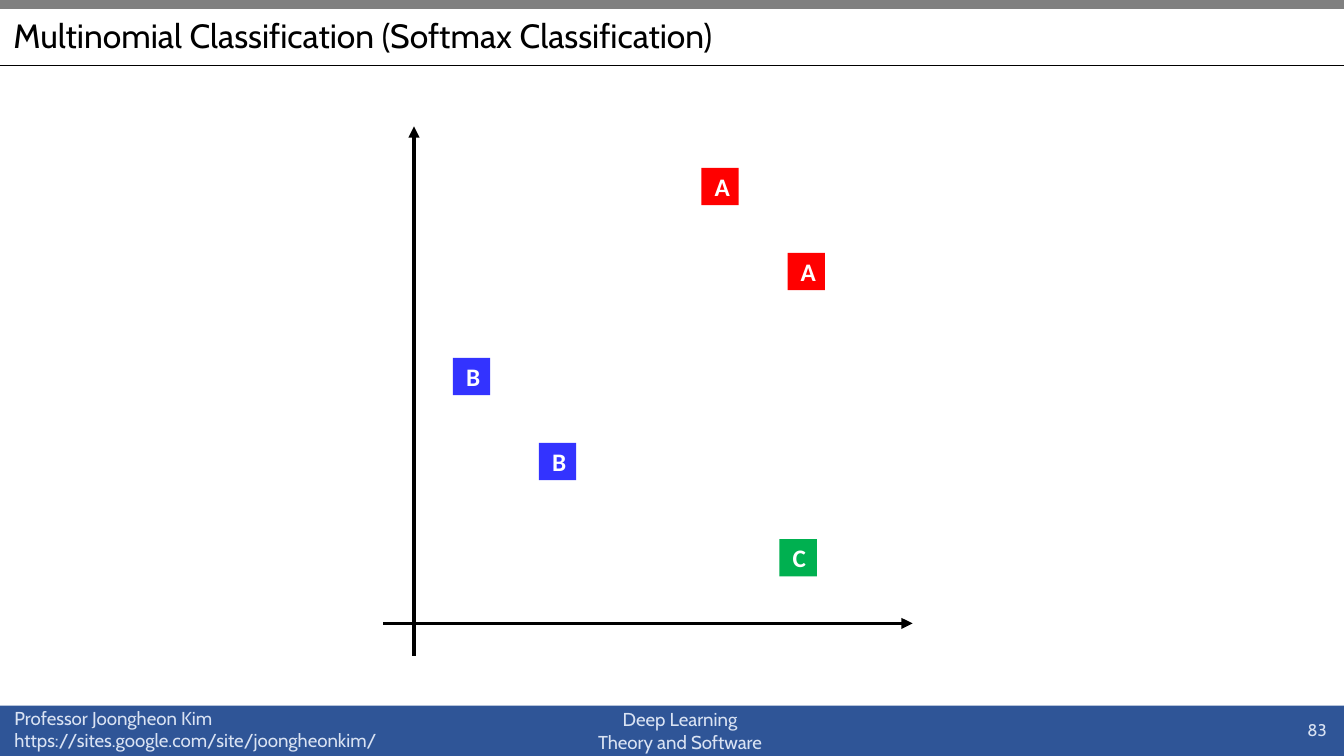
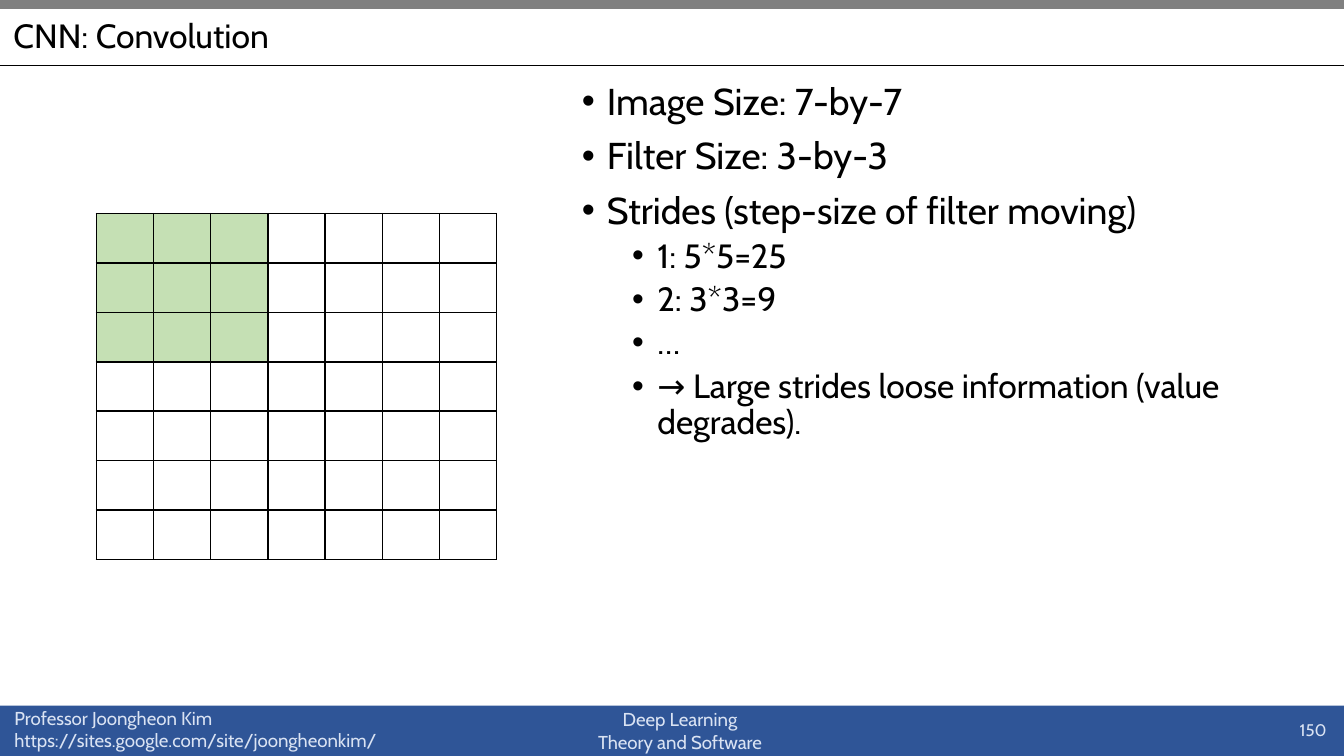
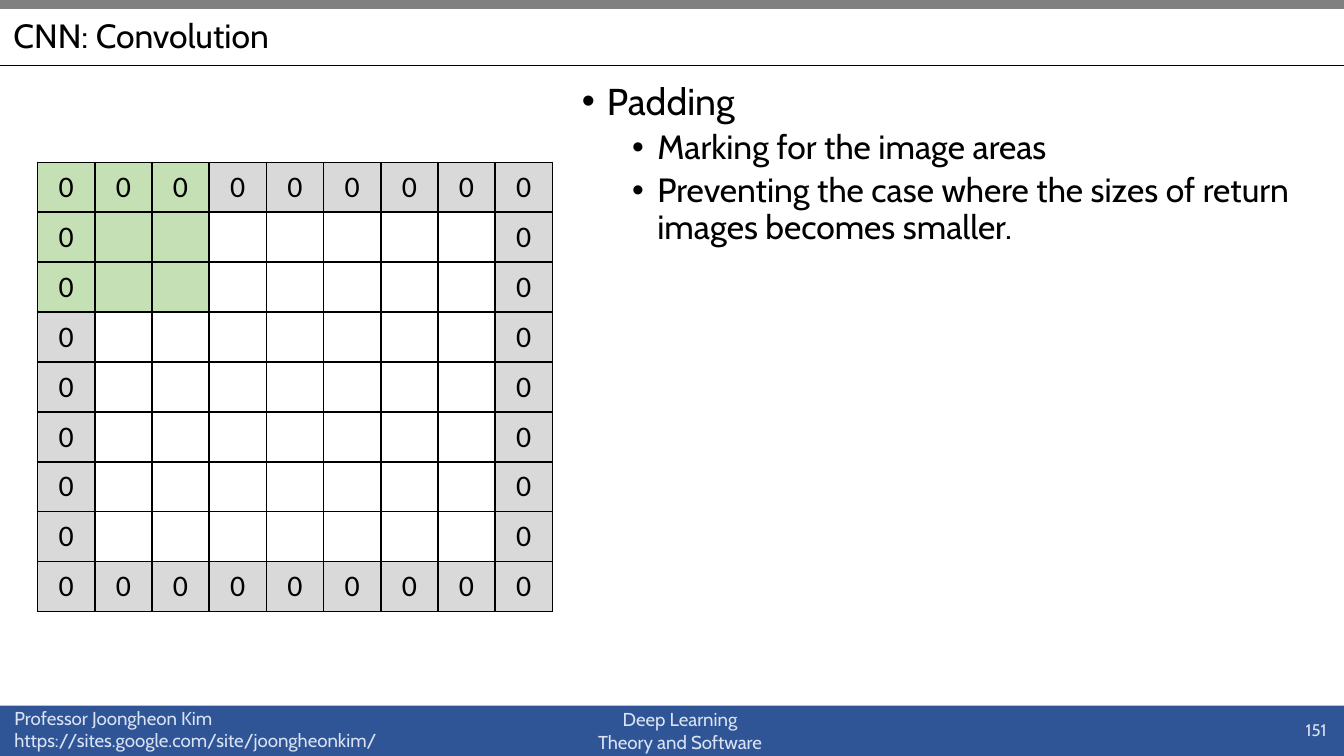
from lxml import etree
from pptx import Presentation
from pptx.dml.color import RGBColor
from pptx.enum import shapes, text
from pptx.oxml.ns import qn
from pptx.util import Pt

BLACK = RGBColor(0x00, 0x00, 0x00)
WHITE = RGBColor(0xFF, 0xFF, 0xFF)
GRAY = RGBColor(0x80, 0x80, 0x80)
NAVY = RGBColor(0x2F, 0x55, 0x97)
PALE_BLUE = RGBColor(0xDA, 0xE3, 0xF3)
RED = RGBColor(0xFF, 0x00, 0x00)
BLUE = RGBColor(0x33, 0x33, 0xFF)
GREEN = RGBColor(0x00, 0xB0, 0x50)
FILTER_GREEN = RGBColor(0xC5, 0xE0, 0xB4)
PADDING_GRAY = RGBColor(0xD9, 0xD9, 0xD9)

HEADING_FONT, LABEL_FONT = "Cabin", "Calibri"
WIDTH, HEIGHT = 720, 405
SQUARE, COLUMN, FILTER = 20, 30.65, 3

PROFESSOR = "Professor Joongheon Kim\nhttps://sites.google.com/site/joongheonkim/"
COURSE = "Deep Learning\vTheory and Software"

AXES = [((205.2, 334), (488.9, 334)), ((221.8, 351.4), (221.8, 67.7))]
CLASS_COLORS = {"A": RED, "B": BLUE, "C": GREEN}
SAMPLES = [("A", 375.8, 90), ("A", 421.9, 135.5), ("B", 242.6, 191.7),
           ("B", 288.7, 237.3), ("C", 417.6, 288.8)]

# level: (text size, indent, space before)
BULLET_LEVELS = {0: (20, 13.5, 7.5), 1: (18, 40.5, 3.8)}
HANGING = 13.5

SLIDES = [
    {"title": "Multinomial Classification (Softmax Classification)",
     "number": 83, "samples": SAMPLES},
    {"title": "CNN: Convolution", "number": 150,
     "bullets": [(0, "Image Size: 7-by-7"),
                 (0, "Filter Size: 3-by-3"),
                 (0, "Strides (step-size of filter moving)"),
                 (1, "1: 5*5=25"),
                 (1, "2: 3*3=9"),
                 (1, "…"),
                 (1, "→ Large strides loose information (value degrades).")],
     "grid": {"left": 51.6, "top": 114.4, "size": 7, "row": 26.5, "padded": False}},
    {"title": "CNN: Convolution", "number": 151,
     "bullets": [(0, "Padding"),
                 (1, "Marking for the image areas"),
                 (1, "Preventing the case where the sizes of return images becomes smaller.")],
     "grid": {"left": 20.1, "top": 87, "size": 9, "row": 26.75, "padded": True}},
]


def points(*lengths):
    return [Pt(length) for length in lengths]


def format_runs(paragraph, size, color, font=HEADING_FONT, bold=False):
    for run in paragraph.runs:
        run.font.size = Pt(size)
        run.font.name = font
        run.font.bold = bold
        run.font.color.rgb = color


def add_label(slide, box, wording, size, align, wrap=True):
    label = slide.shapes.add_textbox(*points(*box))
    frame = label.text_frame
    frame.text = wording
    frame.word_wrap = wrap
    for paragraph in frame.paragraphs:
        paragraph.alignment = align
        format_runs(paragraph, size, PALE_BLUE)
    return label


def add_block(slide, box, color):
    block = slide.shapes.add_shape(shapes.MSO_SHAPE.RECTANGLE, *points(*box))
    block.shadow.inherit = False
    block.fill.solid()
    block.fill.fore_color.rgb = color
    block.line.fill.background()
    return block


def add_line(slide, start, end, weight, arrow=False):
    line = slide.shapes.add_connector(
        shapes.MSO_CONNECTOR.STRAIGHT, *points(*start, *end))
    line.line.color.rgb = BLACK
    line.line.width = Pt(weight)
    if arrow:
        etree.SubElement(line.line._get_or_add_ln(), qn("a:tailEnd"), type="triangle")
    etree.SubElement(line.element.spPr, qn("a:effectLst"))
    return line


def add_frame_to_master(master, slide):
    """Draw the bands, rule and footer on the slide, then move them to the master."""
    top_band = add_block(slide, (0, 0, WIDTH, 4.5), GRAY)
    top_band.line.color.rgb = GRAY
    top_band.line.width = Pt(1)
    parts = [
        add_block(slide, (0, 378, WIDTH, HEIGHT - 378), NAVY),
        top_band,
        add_line(slide, (0, 35.1), (WIDTH, 35.1), 0.5),
        add_label(slide, (0.7, 375.1, 213, 31.7), PROFESSOR, 10,
                  text.PP_ALIGN.LEFT, wrap=False),
        add_label(slide, (310.3, 375.8, 108, 31.7), COURSE, 10,
                  text.PP_ALIGN.CENTER, wrap=False),
    ]
    for shape_id, part in enumerate(parts, start=100):
        part.element.xpath(".//p:cNvPr")[0].set("id", str(shape_id))
        master.shapes.element.append(part.element)


def set_title(slide, wording):
    title = slide.shapes.title
    title.left, title.top, title.width, title.height = points(0, 4.5, 630, 30.8)
    frame = title.text_frame
    frame.text = wording
    frame.vertical_anchor = text.MSO_ANCHOR.MIDDLE
    paragraph = frame.paragraphs[0]
    paragraph.alignment = text.PP_ALIGN.LEFT
    paragraph.line_spacing = 0.9
    format_runs(paragraph, 18, BLACK)


def add_scatter(slide, samples):
    for start, end in AXES:
        add_line(slide, start, end, 2, arrow=True)
    for name, left, top in samples:
        sample = add_block(slide, (left, top, SQUARE, SQUARE), CLASS_COLORS[name])
        sample.text_frame.text = name
        paragraph = sample.text_frame.paragraphs[0]
        paragraph.alignment = text.PP_ALIGN.CENTER
        format_runs(paragraph, 13.5, WHITE, LABEL_FONT, bold=True)


def add_bullets(slide, bullets):
    frame = slide.shapes.add_textbox(*points(304.6, 41, 410.4, 333.4)).text_frame
    frame.word_wrap = True
    frame.text = "\n".join(wording for _, wording in bullets)
    for index, (level, _) in enumerate(bullets):
        paragraph = frame.paragraphs[index]
        size, indent, space = BULLET_LEVELS[level]
        paragraph.level = level
        properties = paragraph._p.get_or_add_pPr()
        properties.set("marL", str(Pt(indent)))
        properties.set("indent", str(-Pt(HANGING)))
        etree.SubElement(properties, qn("a:buFont"), typeface="Arial")
        etree.SubElement(properties, qn("a:buChar"), char="•")
        paragraph.line_spacing = 0.9
        if index:
            paragraph.space_before = Pt(space)
        format_runs(paragraph, size, BLACK)


def add_borders(cell):
    properties = cell._tc.get_or_add_tcPr()
    for side in ("lnL", "lnR", "lnT", "lnB"):
        border = etree.SubElement(properties, qn("a:" + side), w=str(Pt(1)))
        fill = etree.SubElement(border, qn("a:solidFill"))
        etree.SubElement(fill, qn("a:srgbClr"), val=str(BLACK))


def add_pixel_grid(slide, left, top, size, row, padded):
    """Draw a square grid with the filter in its corner and, if padded, a rim of zeros."""
    box = points(left, top, size * COLUMN, size * row)
    table = slide.shapes.add_table(size, size, *box).table
    table.first_row = table.horz_banding = False
    for index in range(size):
        table.columns[index].width = Pt(COLUMN)
        table.rows[index].height = Pt(row)
    for index, cell in enumerate(table.iter_cells()):
        y, x = divmod(index, size)
        on_rim = padded and (x in (0, size - 1) or y in (0, size - 1))
        add_borders(cell)
        cell.margin_top = cell.margin_bottom = 0
        cell.vertical_anchor = text.MSO_ANCHOR.MIDDLE
        if max(x, y) < FILTER:
            cell.fill.solid()
            cell.fill.fore_color.rgb = FILTER_GREEN
        elif on_rim:
            cell.fill.solid()
            cell.fill.fore_color.rgb = PADDING_GRAY
        else:
            cell.fill.background()
        if on_rim:
            cell.text_frame.text = "0"
            paragraph = cell.text_frame.paragraphs[0]
            paragraph.alignment = text.PP_ALIGN.CENTER
            format_runs(paragraph, 16, BLACK, LABEL_FONT)


def main():
    deck = Presentation()
    deck.slide_width, deck.slide_height = points(WIDTH, HEIGHT)
    title_only = deck.slide_layouts[5]
    for index, content in enumerate(SLIDES):
        slide = deck.slides.add_slide(title_only)
        if index == 0:
            add_frame_to_master(deck.slide_master, slide)
        set_title(slide, content["title"])
        if "bullets" in content:
            add_bullets(slide, content["bullets"])
        number = add_label(slide, (555.8, 380.2, 162, 21.6), str(content["number"]), 9,
                           text.PP_ALIGN.RIGHT)
        number.text_frame.vertical_anchor = text.MSO_ANCHOR.MIDDLE
        if "samples" in content:
            add_scatter(slide, content["samples"])
        if "grid" in content:
            add_pixel_grid(slide, **content["grid"])
    deck.save("out.pptx")


if __name__ == "__main__":
    main()
